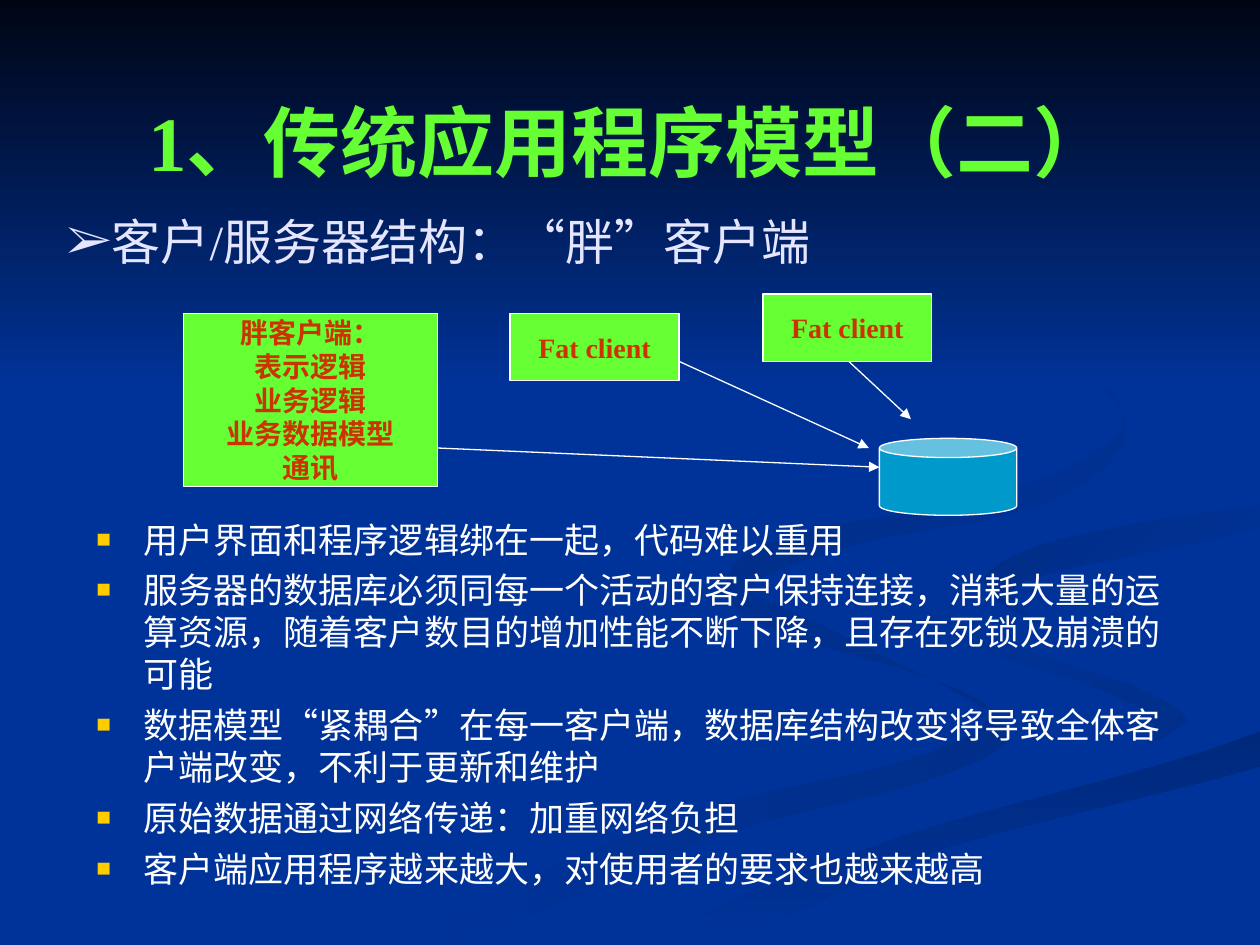
from dataclasses import dataclass

from lxml.etree import SubElement
from pptx import Presentation
from pptx.dml.color import RGBColor
from pptx.enum.shapes import MSO_CONNECTOR as Connector, MSO_SHAPE as Preset
from pptx.enum.text import MSO_ANCHOR as Anchor, PP_ALIGN as Align
from pptx.oxml.ns import qn
from pptx.util import Pt

FONT = "Times New Roman"
WIDTH, HEIGHT = 720, 540
CURVE_STEPS = 5
NAVY, WHITE, LIME, RED = "003399", "FFFFFF", "66FF33", "CC3300"
TITLE = "1、传统应用程序模型（二）"
HEADING = "客户/服务器结构：“胖”客户端"
DRAWBACKS = [
    "用户界面和程序逻辑绑在一起，代码难以重用",
    "服务器的数据库必须同每一个活动的客户保持连接，消耗大量的运算资源，随着客户数目的增加性能不断下降，且存在死锁及崩溃的可能",
    "数据模型“紧耦合”在每一客户端，数据库结构改变将导致全体客户端改变，不利于更新和维护",
    "原始数据通过网络传递：加重网络负担",
    "客户端应用程序越来越大，对使用者的要求也越来越高",
]


@dataclass
class Swirl:
    stops: tuple
    angle: int
    points: list


@dataclass
class Client:
    place: tuple
    lines: list


@dataclass
class Bullet:
    char: str
    color: str
    size: int = 100
    indent: float = 0


SWIRLS = [
    Swirl(("002E8A", NAVY), 180, [
        (412, 333), (440, 359), (524, 385), (566, 408), (514, 436), (388, 467),
        (216, 540), (260, 540), (406, 479), (533, 445), (576, 418), (515, 380)]),
    Swirl(("002E8A", NAVY), 225, [
        (521, 334), (544, 364), (634, 396), (660, 415), (644, 436), (679, 412), (626, 382)]),
    Swirl(("00297C", NAVY), 90, [
        (362, 540), (411, 540), (541, 484), (720, 438), (720, 418), (550, 466)]),
    Swirl((NAVY, NAVY), 0, [
        (522, 334), (583, 370), (679, 412), (535, 463), (343, 540), (501, 482),
        (720, 418), (720, 387), (599, 359), (576, 318), (720, 289), (720, 279), (567, 304)]),
    Swirl((NAVY, "002C85"), 225, [
        (562, 331), (595, 357), (585, 332), (720, 302), (720, 289), (611, 307)]),
    Swirl((NAVY, "002B81"), 225, [
        (492, 310), (594, 289), (644, 248), (607, 198), (549, 168), (616, 205),
        (640, 246), (570, 282), (450, 307), (415, 333), (448, 360), (428, 335)]),
]
CLIENTS = [
    Client((105, 179, 145, 99), ["胖客户端：", "表示逻辑", "业务逻辑", "业务数据模型", "通讯"]),
    Client((291.5, 179, 96.5, 38.5), ["Fat client"]),
    Client((436, 168, 96.5, 38.5), ["Fat client"]),
]
ARROWS = [(250, 256, 502.5, 267), (388, 206.5, 496.5, 256), (485, 206.5, 520.5, 239.5)]


def hex_color(value: str) -> RGBColor:
    return RGBColor.from_string(value)


def set_values(target, values: dict) -> None:
    for name, value in values.items():
        setattr(target, name, value)


def add_bullet(para, bullet: Bullet) -> None:
    props = para._p.get_or_add_pPr()
    props.set("marL", str(Pt(bullet.indent)))
    props.set("indent", str(Pt(-bullet.indent)))
    color = SubElement(props, qn("a:buClr"))
    SubElement(color, qn("a:srgbClr"), val=bullet.color)
    SubElement(props, qn("a:buSzPct"), val=str(bullet.size * 1000))
    SubElement(props, qn("a:buFont"), typeface=FONT)
    SubElement(props, qn("a:buChar"), char=bullet.char)


def write_lines(frame, lines: list, size: float, color: str, frame_format: dict,
                para_format: dict, bold: bool = False, bullet: Bullet | None = None) -> None:
    set_values(frame, frame_format)
    for number, line in enumerate(lines):
        para = frame.add_paragraph() if number else frame.paragraphs[0]
        set_values(para, para_format)
        if bullet:
            add_bullet(para, bullet)
        span = para.add_run()
        span.text = line
        set_values(span.font, {"name": FONT, "size": Pt(size), "bold": bold})
        span.font.color.rgb = hex_color(color)


def smooth_outline(points: list) -> list:
    outline = []
    for i in range(len(points)):
        corners = [points[(i + shift) % len(points)] for shift in (-1, 0, 1, 2)]
        for step in range(CURVE_STEPS):
            t = step / CURVE_STEPS
            x, y = (b + t / 2 * (c - a + t * (2 * a - 5 * b + 4 * c - d
                                               + t * (3 * (b - c) + d - a)))
                    for a, b, c, d in zip(*corners))
            outline.append((min(x, WIDTH), min(y, HEIGHT)))
    return outline


def fill_gradient(shape, stops: tuple, angle: int) -> None:
    shape.shadow.inherit = False
    shape.line.fill.background()
    shape.fill.gradient()
    shape.fill.gradient_angle = (360 - angle) % 360
    for stop, color in zip(shape.fill.gradient_stops, stops):
        stop.color.rgb = hex_color(color)


def draw_swirl(page, swirl: Swirl) -> None:
    start, *rest = smooth_outline(swirl.points)
    builder = page.shapes.build_freeform(*start, scale=float(Pt(1)))
    builder.add_line_segments(rest, close=True)
    fill_gradient(builder.convert_to_shape(), swirl.stops, swirl.angle)


def draw_shape(page, preset, place: tuple, color: str):
    shape = page.shapes.add_shape(preset, *map(Pt, place))
    shape.shadow.inherit = False
    shape.fill.solid()
    shape.fill.fore_color.rgb = hex_color(color)
    shape.line.color.rgb = hex_color(WHITE)
    shape.line.width = Pt(0.75)
    return shape


def draw_client(page, client: Client) -> None:
    box = draw_shape(page, Preset.RECTANGLE, client.place, LIME)
    write_lines(box.text_frame, client.lines, 16, RED,
                {"vertical_anchor": Anchor.MIDDLE, "word_wrap": False},
                {"alignment": Align.CENTER}, bold=True)


def draw_arrow(page, ends: tuple) -> None:
    arrow = page.shapes.add_connector(Connector.STRAIGHT, *map(Pt, ends))
    arrow.line.color.rgb = hex_color(WHITE)
    arrow.line.width = Pt(0.75)
    SubElement(arrow.line._get_or_add_ln(), qn("a:tailEnd"), type="triangle")
    SubElement(arrow.element.spPr, qn("a:effectLst"))


def draw_list(page, place: tuple, lines: list, size: float, color: str,
              space: float, bullet: Bullet) -> None:
    box = page.shapes.add_textbox(*map(Pt, place))
    write_lines(box.text_frame, lines, size, color, {"word_wrap": True},
                {"space_before": Pt(space)}, bullet=bullet)


def main() -> None:
    """Build the slide on the fat-client model and save it."""
    deck = Presentation()
    set_values(deck, {"slide_width": Pt(WIDTH), "slide_height": Pt(HEIGHT)})
    page = deck.slides.add_slide(deck.slide_layouts[5])
    page.background.fill.solid()
    page.background.fill.fore_color.rgb = hex_color(NAVY)
    for swirl in SWIRLS:
        draw_swirl(page, swirl)
    band = page.shapes.add_shape(Preset.RECTANGLE, 0, 0, Pt(WIDTH), Pt(222))
    fill_gradient(band, ("000514", NAVY), 90)
    title = page.shapes.title
    title.element.getparent().append(title.element)
    set_values(title, {"left": Pt(36), "top": Pt(49), "width": Pt(648), "height": Pt(62.5)})
    write_lines(title.text_frame, [TITLE], 44, LIME, {"vertical_anchor": Anchor.MIDDLE},
                {"alignment": Align.CENTER}, bold=True)
    draw_list(page, (48, 292.5, 642, 227), DRAWBACKS, 20, WHITE, 5,
              Bullet("■", "FFCC00", 70, 27))
    draw_list(page, (31, 117.5, 481.5, 41), [HEADING], 28, "E5E5FF", 0, Bullet("➢", "E5E5FF"))
    database = draw_shape(page, Preset.CAN, (502.5, 250.5, 78.5, 44), "0099CC")
    database.adjustments[0] = 0.25
    for client in CLIENTS:
        draw_client(page, client)
    for ends in ARROWS:
        draw_arrow(page, ends)
    deck.save("out.pptx")


if __name__ == "__main__":
    main()
